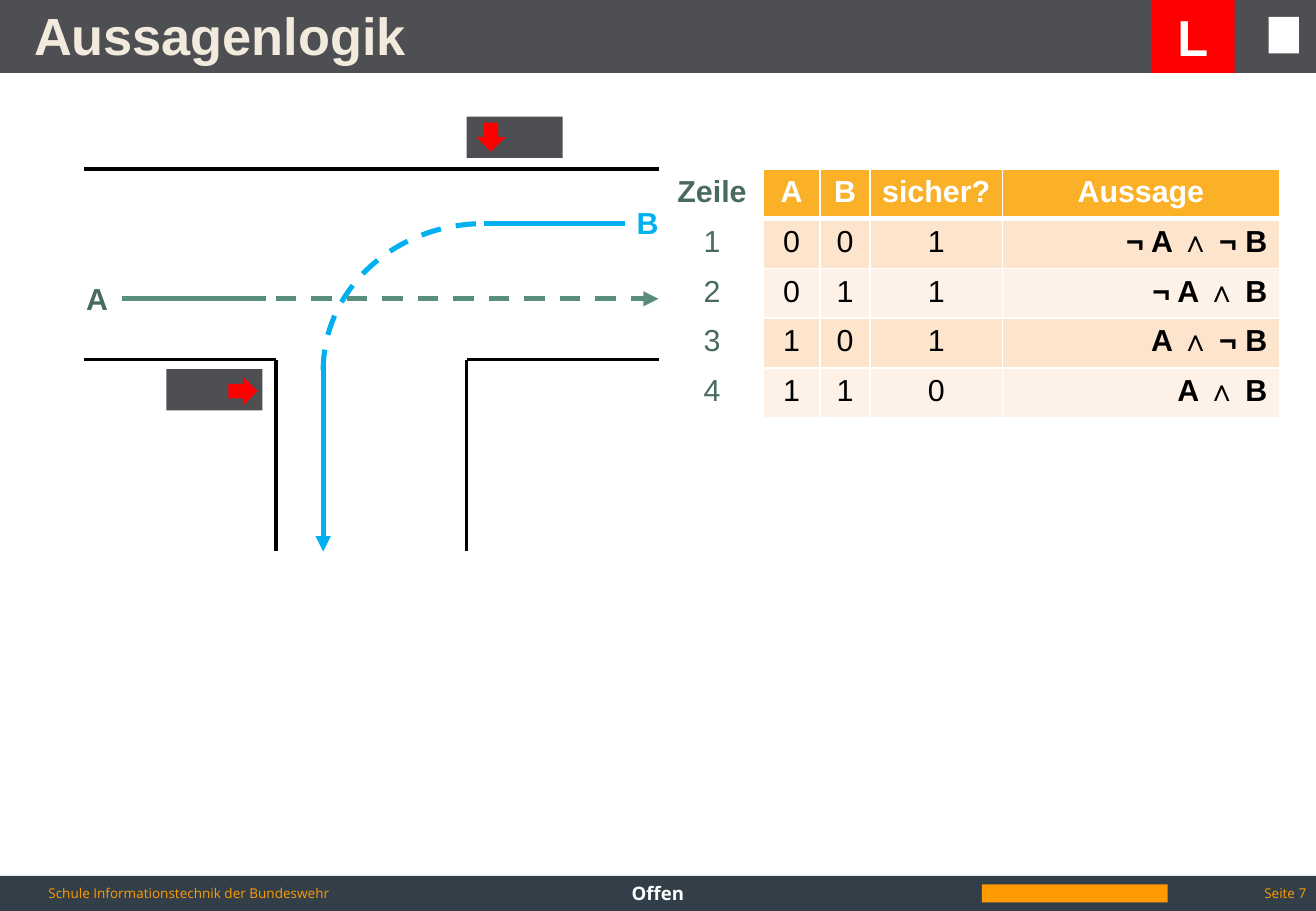
"""Build the propositional logic slide with a junction sketch and a truth table."""
from pptx import Presentation, util as u
from pptx.dml.color import RGBColor
from pptx.enum import dml, shapes as sh, text as tx
from pptx.oxml import parse_xml
from pptx.oxml.ns import nsdecls, qn
from dataclasses import dataclass


@dataclass(frozen=True)
class Theme:
    """Colours, fonts and type sizes of the slide."""
    gray: str = "4E4F53"
    navy: str = "333F48"
    gold: str = "FF9B00"
    cream: str = "F2EADC"
    white: str = "FFFFFF"
    black: str = "000000"
    red: str = "FF0000"
    blue: str = "00B0F0"
    green: str = "598F7A"
    moss: str = "496A61"
    head: str = "FAB128"
    bands: tuple = ("FDE4CD", "FEF2E8")
    body: str = "Arial"
    foot: str = "Open Sans"
    title: int = 31
    badge: int = 30
    text: int = 18
    note: int = 11
    small: int = 8


T = Theme()
MID, TOP = tx.MSO_ANCHOR.MIDDLE, tx.MSO_ANCHOR.TOP
LEFT, CENTER, RIGHT = tx.PP_ALIGN.LEFT, tx.PP_ALIGN.CENTER, tx.PP_ALIGN.RIGHT
KIND = sh.MSO_SHAPE

WIDE, HIGH, BAR = 10.83, 7.5, 0.6
WEST, EAST, NORTH, SOUTH, END = 0.69, 5.42, 1.39, 2.96, 4.54
SIDES = (2.27, 3.84)
LANE_A, LANE_B, TURN = 2.46, 1.84, 2.66

BARS = [
    ((0, 0, WIDE, BAR), T.gray),
    ((0, 7.21, WIDE, 0.29), T.navy),
    ((10.44, 0.14, 0.25, 0.3), T.white),
    ((8.08, 7.28, 1.53, 0.15), T.gold),
]
NOTES = [
    ("Schule Informationstechnik der Bundeswehr", (0.3, 6.96, 4.09, 0.79),
     dict(size=T.small, color=T.gold, anchor=MID)),
    ("Offen", (3.7, 7.21, 3.43, 0.4),
     dict(size=T.note, color=T.white, bold=True, align=CENTER)),
    ("Seite 7", (8.32, 7.21, 2.53, 0.29),
     dict(size=T.small, color=T.gold, align=RIGHT, anchor=MID)),
]
LABELS = [("A", (0.61, 2.26), T.moss), ("B", (5.14, 1.63), T.blue)]
ROADS = [
    (WEST, NORTH, EAST, NORTH),
    (WEST, SOUTH, SIDES[0], SOUTH),
    (SIDES[1], SOUTH, EAST, SOUTH),
    *[(x, END, x, SOUTH) for x in SIDES],
]
PATHS = [
    ((SIDES[0], LANE_A, EAST, LANE_A), T.green, dict(dash=True, arrow=True)),
    ((1, LANE_A, 2.19, LANE_A), T.green, {}),
    ((3.98, LANE_B, 5.14, LANE_B), T.blue, {}),
    ((TURN, 3.04, TURN, END), T.blue, dict(arrow=True)),
]
LAMPS = [
    (3.84, 0.96, KIND.DOWN_ARROW, 0.08, 0.05),
    (1.37, 3.04, KIND.RIGHT_ARROW, 0.51, 0.06),
]
ROWS = [
    ("Zeile", "A", "B", "sicher?", "Aussage"),
    ("1", "0", "0", "1", "¬ A ∧ ¬ B"),
    ("2", "0", "1", "1", "¬ A ∧ B"),
    ("3", "1", "0", "1", "A ∧ ¬ B"),
    ("4", "1", "1", "0", "A ∧ B"),
]
COLS = (0.84, 0.47, 0.41, 1.09, 2.28)
ROW = 0.41

prs = Presentation()
prs.slide_width, prs.slide_height = u.Inches(WIDE), u.Inches(HIGH)
slide = prs.slides.add_slide(prs.slide_layouts[5])


def rgb(code):
    """Turn a hex code into a colour."""
    return RGBColor.from_string(code)


def inch(nums):
    """Turn plain numbers into lengths."""
    return [u.Inches(n) for n in nums]


def write(frame, words, size=T.text, color=T.black, font=T.body, bold=False, align=LEFT):
    """Fill a text frame with formatted lines."""
    frame.text = words
    for par in frame.paragraphs:
        par.alignment = align
        face = par.runs[0].font
        face.name, face.size, face.bold = font, u.Pt(size), bold
        face.color.rgb = rgb(color)


def label(words, at, wrap=True, anchor=TOP, **form):
    """Add a text box."""
    frame = slide.shapes.add_textbox(*inch(at)).text_frame
    frame.word_wrap, frame.vertical_anchor = wrap, anchor
    write(frame, words, **form)


def block(kind, at, fill):
    """Add a plain filled shape."""
    item = slide.shapes.add_shape(kind, *inch(at))
    item.shadow.inherit = False
    item.fill.solid()
    item.fill.fore_color.rgb = rgb(fill)
    item.line.fill.background()
    return item


def stroke(item, color, width, dash=False):
    """Format the line of a shape or connector."""
    item.line.color.rgb = rgb(color)
    item.line.width = u.Pt(width)
    if dash:
        item.line.dash_style = dml.MSO_LINE.DASH


def line(ends, color, width, dash=False, arrow=False):
    """Add a straight line, with an arrowhead on request."""
    item = slide.shapes.add_connector(sh.MSO_CONNECTOR.STRAIGHT, *inch(ends))
    stroke(item, color, width, dash)
    if arrow:
        item.line._get_or_add_ln().append(
            parse_xml(f'<a:tailEnd {nsdecls("a")} type="triangle"/>'))
    item.element.find(qn("p:spPr")).append(parse_xml(f'<a:effectLst {nsdecls("a")}/>'))


def frame_cell(cell, base):
    """Draw white cell borders with the given bottom width."""
    props = cell._tc.get_or_add_tcPr()
    for side, width in zip("LRTB", (1, 1, 1, base)):
        props.append(parse_xml(
            f'<a:ln{side} {nsdecls("a")} w="{u.Pt(width)}"><a:solidFill>'
            f'<a:srgbClr val="{T.white}"/></a:solidFill></a:ln{side}>'))


def truth():
    """Add the truth table."""
    size = (5.44, NORTH, sum(COLS), ROW * len(ROWS))
    grid = slide.shapes.add_table(len(ROWS), len(COLS), *inch(size)).table
    for col, width in zip(grid.columns, COLS):
        col.width = u.Inches(width)
    for r, row in enumerate(ROWS):
        grid.rows[r].height = u.Inches(ROW)
        for c, words in enumerate(row):
            cell, top, last = grid.cell(r, c), r == 0, c == len(COLS) - 1
            frame_cell(cell, 3 if top else 1)
            if c:
                cell.fill.solid()
                cell.fill.fore_color.rgb = rgb(T.head if top else T.bands[(r - 1) % 2])
            else:
                cell.fill.background()
            color = T.moss if c == 0 else T.white if top else T.black
            write(cell.text_frame, words, color=color, bold=top or last,
                  align=RIGHT if last and not top else CENTER)


def main():
    """Place every part and save the deck."""
    for at, fill in BARS:
        block(KIND.RECTANGLE, at, fill)
    for words, at, form in NOTES:
        label(words, at, font=T.foot, **form)

    title = slide.shapes.title
    title.element.getparent().append(title.element)
    title.left, title.top, title.width, title.height = inch((0, 0.05, 10.41, 0.47))
    frame = title.text_frame
    frame.auto_size, frame.vertical_anchor = tx.MSO_AUTO_SIZE.NONE, MID
    frame.margin_left = u.Inches(0.28)
    write(frame, "Aussagenlogik", size=T.title, color=T.cream, bold=True)

    for ends in ROADS:
        line(ends, T.black, 2.25)
    for words, spot, color in LABELS:
        label(words, (*spot, 0.38, 0.4), wrap=False, color=color, bold=True)
    for ends, color, form in PATHS:
        line(ends, color, 3, **form)
    curve = block(KIND.ARC, (2.78, 1.72, 2.41, 2.65), T.white)
    curve.fill.background()
    curve.rotation = 270
    stroke(curve, T.blue, 3, dash=True)
    for x, y, kind, dx, dy in LAMPS:
        block(KIND.RECTANGLE, (x, y, 0.79, 0.34), T.gray)
        block(kind, (x + dx, y + dy, 0.24, 0.24), T.red)

    truth()
    badge = block(KIND.RECTANGLE, (9.47, 0, 0.69, BAR), T.red).text_frame
    badge.vertical_anchor = MID
    write(badge, "L", size=T.badge, color=T.white, bold=True, align=CENTER)
    prs.save("out.pptx")


if __name__ == "__main__":
    main()
